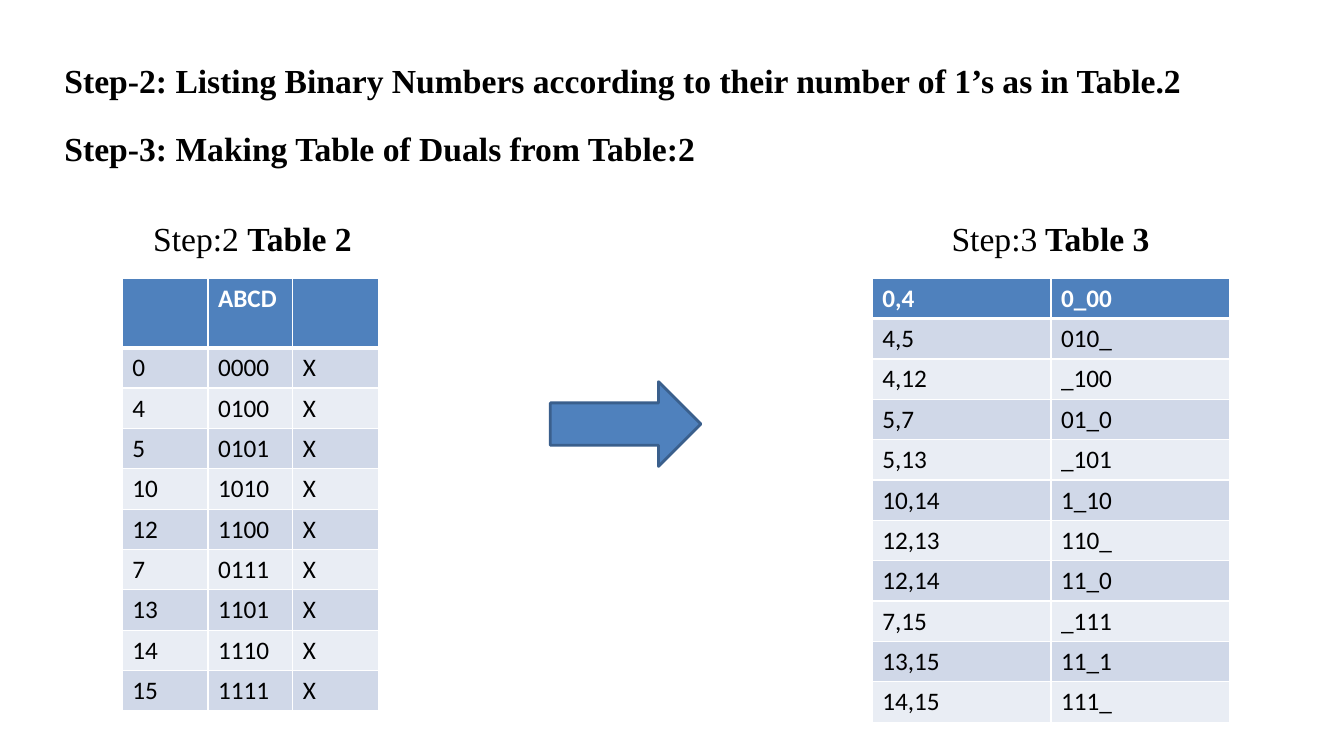
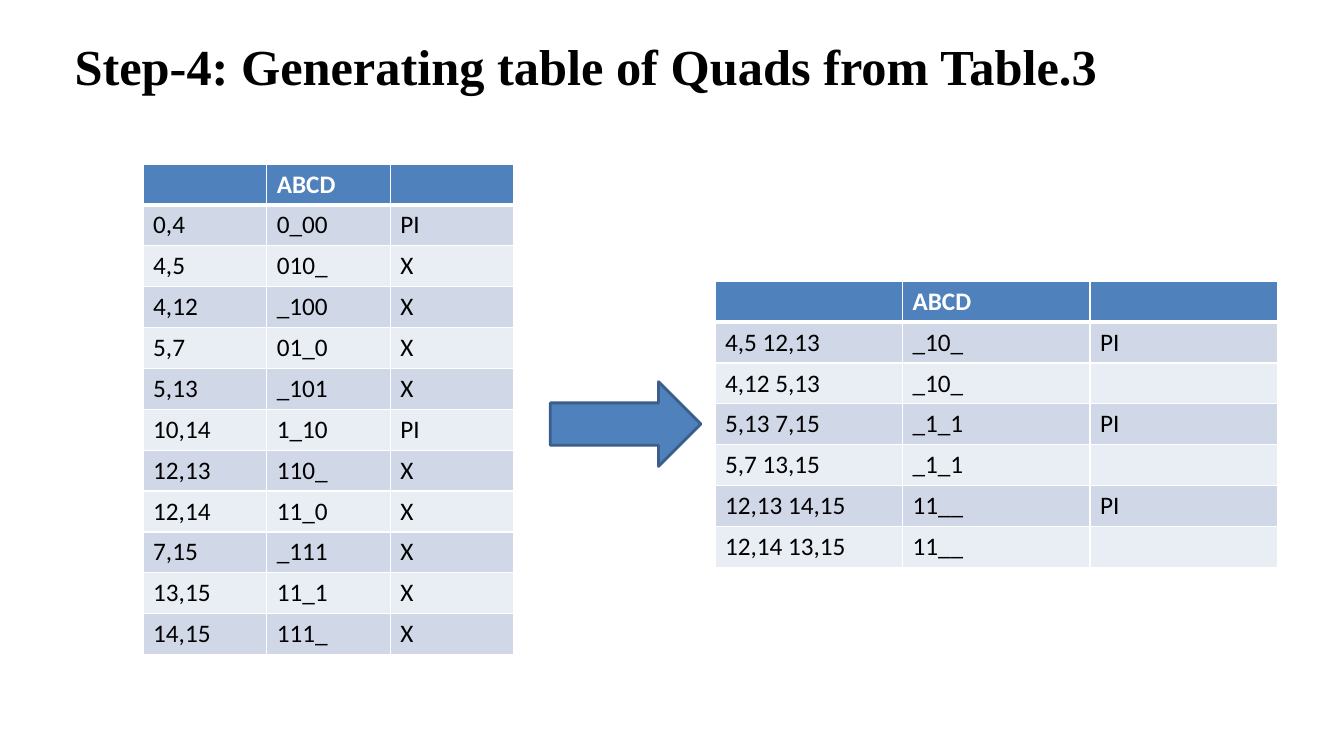
from dataclasses import dataclass
from typing import NamedTuple

from lxml.etree import SubElement
from pptx import Presentation
from pptx.dml.color import RGBColor
from pptx.enum.shapes import MSO_SHAPE
from pptx.enum.text import MSO_AUTO_SIZE
from pptx.oxml.ns import qn
from pptx.slide import Slide
from pptx.table import _Cell
from pptx.text.text import _Paragraph
from pptx.util import Inches, Length, Pt

BLACK = RGBColor(0x00, 0x00, 0x00)
WHITE = RGBColor(0xFF, 0xFF, 0xFF)
BLUE = RGBColor(0x4F, 0x81, 0xBD)
DARK_BLUE = RGBColor(0x3A, 0x5F, 0x8C)
BANDS = (RGBColor(0xE9, 0xED, 0xF4), RGBColor(0xD0, 0xD8, 0xE8))
HEADING_FONT = "Times New Roman"
TABLE_FONT = "Calibri"

PAGE_WIDTH = Inches(13.33)
PAGE_HEIGHT = Inches(7.5)
GRID = 100

HEADER = ("", "ABCD", "")
MINTERMS = (
    ("0", "0000"), ("4", "0100"), ("5", "0101"), ("10", "1010"), ("12", "1100"),
    ("7", "0111"), ("13", "1101"), ("14", "1110"), ("15", "1111"),
)
DUALS = (
    ("0,4", "0_00", "PI"),
    ("4,5", "010_", "X"),
    ("4,12", "_100", "X"),
    ("5,7", "01_0", "X"),
    ("5,13", "_101", "X"),
    ("10,14", "1_10", "PI"),
    ("12,13", "110_", "X"),
    ("12,14", "11_0", "X"),
    ("7,15", "_111", "X"),
    ("13,15", "11_1", "X"),
    ("14,15", "111_", "X"),
)
QUADS = (
    ("4,5 12,13", "_10_", "PI"),
    ("4,12 5,13", "_10_", ""),
    ("5,13 7,15", "_1_1", "PI"),
    ("5,7 13,15", "_1_1", ""),
    ("12,13 14,15", "11__", "PI"),
    ("12,14 13,15", "11__", ""),
)


class Area(NamedTuple):
    column: float
    row: float
    columns: float
    rows: float


class Span(NamedTuple):
    text: str
    bold: bool = True


@dataclass(frozen=True)
class TextBlock:
    area: Area
    paragraphs: tuple[tuple[Span, ...], ...]
    size: float = 24
    line_spacing: float | Length = 1.5
    space_before: float = 0
    indent: float = 0


@dataclass(frozen=True)
class Grid:
    column: float
    row: float
    widths: tuple[float, ...]
    row_height: float
    rows: tuple[tuple[str, ...], ...]
    header_height: float | None = None


@dataclass(frozen=True)
class Page:
    texts: tuple[TextBlock, ...]
    grids: tuple[Grid, ...]


ARROW = Area(40.95, 50.5, 11.2, 11.2)

PAGES = (
    Page(
        (
            TextBlock(
                Area(4.8, 5.2, 84.4, 16.3),
                (
                    (Span("Step-2: Listing Binary Numbers according to their number of 1’s as in Table.2"),),
                    (Span("Step-3: Making Table of Duals from Table:2"),),
                ),
                space_before=5.6,
            ),
            TextBlock(
                Area(9.1, 27.9, 20, 5.7),
                ((Span("Step:2 ", False), Span("Table 2")),),
                line_spacing=Pt(33.5),
                indent=2.3,
            ),
            TextBlock(
                Area(70, 27.9, 20.4, 5.7),
                ((Span("Step:3", False), Span(" Table 3")),),
                line_spacing=Pt(33.5),
                indent=0.8,
            ),
        ),
        (
            Grid(9.1, 36.8, (6.38, 6.3, 6.38), 5.33,
                 (HEADER, *((*minterm, "X") for minterm in MINTERMS)), 9.2),
            Grid(64.9, 36.8, (13.3,) * 2, 5.33, tuple(dual[:2] for dual in DUALS)),
        ),
    ),
    Page(
        (
            TextBlock(
                Area(5.55, 5.7, 90, 6.9),
                ((Span("Step-4: Generating table of Quads from Table.3"),),),
                size=36,
                line_spacing=Pt(37.3),
            ),
        ),
        (
            Grid(10.65, 21.7, (9.2,) * 3, 5.41, (HEADER, *DUALS)),
            Grid(53.2, 37.2, (13.95,) * 3, 5.41, (HEADER, *QUADS)),
        ),
    ),
)


def across(columns: float) -> int:
    return round(PAGE_WIDTH * columns / GRID)


def down(rows: float) -> int:
    return round(PAGE_HEIGHT * rows / GRID)


def place(area: Area) -> tuple[int, int, int, int]:
    return across(area.column), down(area.row), across(area.columns), down(area.rows)


def style(para: _Paragraph, name: str, size: float, color: RGBColor) -> None:
    para.font.name = name
    para.font.size = Pt(size)
    para.font.color.rgb = color


def draw_text(page: Slide, block: TextBlock) -> None:
    frame = page.shapes.add_textbox(*place(block.area)).text_frame
    frame.margin_left = frame.margin_right = frame.margin_top = frame.margin_bottom = 0
    frame.word_wrap = True
    frame.auto_size = MSO_AUTO_SIZE.SHAPE_TO_FIT_TEXT
    for index, spans in enumerate(block.paragraphs):
        para = frame.add_paragraph() if index else frame.paragraphs[0]
        style(para, HEADING_FONT, block.size, BLACK)
        para.line_spacing = block.line_spacing
        para.space_before = Pt(block.space_before if index else 0)
        para._p.get_or_add_pPr().set("marL", str(across(block.indent)))
        for span in spans:
            run = para.add_run()
            run.text = span.text
            run.font.bold = span.bold


def draw_borders(cell: _Cell, top: float, bottom: float) -> None:
    properties = cell._tc.get_or_add_tcPr()
    sides = (("lnL", 1), ("lnR", 1), ("lnT", top), ("lnB", bottom))
    for index, (side, width) in enumerate(sides):
        line = SubElement(properties, qn(f"a:{side}"), w=str(Pt(width)))
        fill = SubElement(line, qn("a:solidFill"))
        SubElement(fill, qn("a:srgbClr"), val=str(WHITE))
        properties.insert(index, line)


def draw_cell(cell: _Cell, text: str, row: int) -> None:
    is_header = row == 0
    cell.text = text
    para = cell.text_frame.paragraphs[0]
    style(para, TABLE_FONT, 18, WHITE if is_header else BLACK)
    para.font.bold = is_header
    cell.fill.solid()
    cell.fill.fore_color.rgb = BLUE if is_header else BANDS[row % 2]
    draw_borders(cell, 3 if row == 1 else 1, 3 if is_header else 1)


def draw_grid(page: Slide, grid: Grid) -> None:
    header_height = grid.header_height or grid.row_height
    heights = (header_height, *(grid.row_height for _ in grid.rows[1:]))
    area = Area(grid.column, grid.row, sum(grid.widths), sum(heights))
    table = page.shapes.add_table(len(heights), len(grid.widths), *place(area)).table
    table.horz_banding = False
    for column, width in zip(table.columns, grid.widths):
        column.width = across(width)
    for index, (height, texts) in enumerate(zip(heights, grid.rows)):
        table.rows[index].height = down(height)
        for cell, text in zip(table.rows[index].cells, texts):
            draw_cell(cell, text, index)


def draw_arrow(page: Slide) -> None:
    arrow = page.shapes.add_shape(MSO_SHAPE.RIGHT_ARROW, *place(ARROW))
    arrow.shadow.inherit = False
    arrow.fill.solid()
    arrow.fill.fore_color.rgb = BLUE
    arrow.line.color.rgb = DARK_BLUE
    arrow.line.width = Pt(2)


def main() -> None:
    deck = Presentation()
    deck.slide_width = PAGE_WIDTH
    deck.slide_height = PAGE_HEIGHT
    for content in PAGES:
        page = deck.slides.add_slide(deck.slide_layouts[6])
        for block in content.texts:
            draw_text(page, block)
        for grid in content.grids:
            draw_grid(page, grid)
        draw_arrow(page)
    deck.save("out.pptx")


if __name__ == "__main__":
    main()
